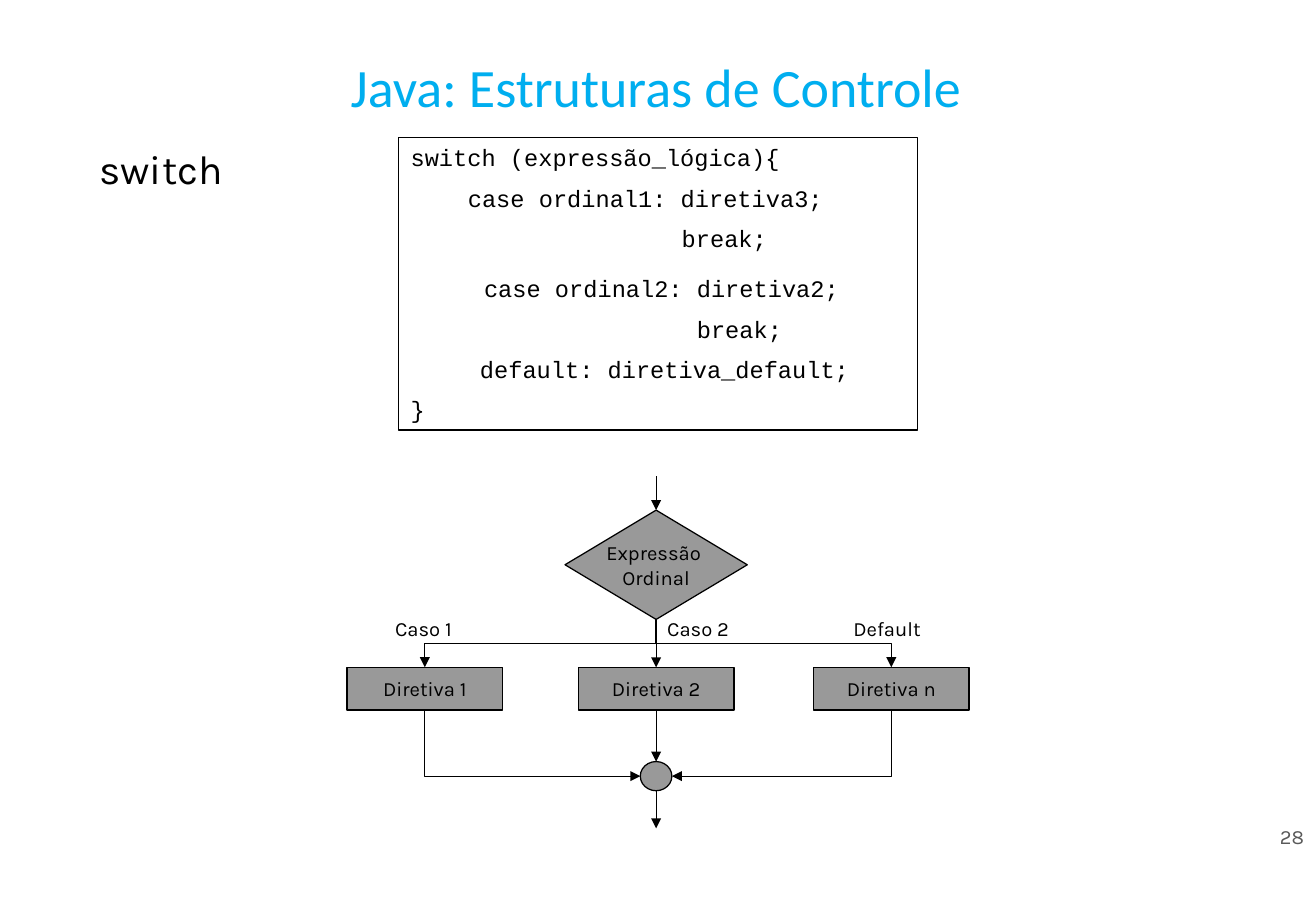
"""Build the slide on the Java switch structure, with its code and flow chart."""
import pptx
import pptx.dml.color
import pptx.enum.shapes
import pptx.enum.text
import pptx.oxml
import pptx.oxml.ns
import pptx.util

Kind = pptx.enum.shapes.MSO_SHAPE
Wire = pptx.enum.shapes.MSO_CONNECTOR
Align = pptx.enum.text.PP_ALIGN
Anchor = pptx.enum.text.MSO_ANCHOR
Color = pptx.dml.color.RGBColor.from_string
Pt = pptx.util.Pt

theme = {
    "ink": Color("000000"),
    "fill": Color("999999"),
    "line": Pt(0.75),
    "title": {"name": "Calibri", "size": Pt(32), "color": Color("00AEEF")},
    "head": {"name": "Karla", "size": Pt(24), "color": Color("000000")},
    "code": {"name": "Courier New", "size": Pt(14), "color": Color("000000")},
    "node": {"name": "Karla", "size": Pt(12), "color": Color("000000")},
    "page": {"name": "Karla", "size": Pt(12), "color": Color("595959")},
}

deck = pptx.Presentation()
deck.slide_width = pptx.util.Inches(10.83)
deck.slide_height = pptx.util.Inches(7.5)
slide = deck.slides.add_slide(deck.slide_layouts[6])
shapes = slide.shapes
col = deck.slide_width / 100
row = deck.slide_height / 100


def write(shape, lines, style, align, anchor, wrap):
    """Fill a shape with (text, indent in columns, space before) lines."""
    frame = shape.text_frame
    side = Pt(7.2 if wrap else 0)
    layout = {"word_wrap": wrap, "vertical_anchor": anchor,
              "margin_left": side, "margin_right": side}
    for name, value in layout.items():
        setattr(frame, name, value)
    for index, (text, indent, before) in enumerate(lines):
        para = frame.add_paragraph() if index else frame.paragraphs[0]
        para.alignment = align
        para.space_before = Pt(before)
        if indent:
            para._p.get_or_add_pPr().set("marL", str(round(indent * col)))
        run = para.add_run()
        run.text = text
        for name, value in theme[style].items():
            if name == "color":
                run.font.color.rgb = value
            else:
                setattr(run.font, name, value)


def link(start, end, bend=None):
    """Draw an arrow; a bent one leaves downwards, so its box is turned."""
    x1, y1, x2, y2 = start[0] * col, start[1] * row, end[0] * col, end[1] * row
    turn = 1 if x2 < x1 else -1
    if bend:
        midx, midy = (x1 + x2) / 2, (y1 + y2) / 2
        across, down = turn * (x1 - midx), turn * (y1 - midy)
        x1, y1, x2, y2 = midx + down, midy - across, midx - down, midy + across
    wire = shapes.add_connector(
        Wire.ELBOW if bend else Wire.STRAIGHT, *map(round, (x1, y1, x2, y2)))
    wire.line.width = theme["line"]
    wire.line.color.rgb = theme["ink"]
    props = wire._element.spPr
    space = pptx.oxml.ns.nsdecls("a")
    wire.line._get_or_add_ln().append(
        pptx.oxml.parse_xml(f'<a:tailEnd {space} type="triangle"/>'))
    props.append(pptx.oxml.parse_xml(f"<a:effectLst {space}/>"))
    if bend:
        props.xfrm.set("rot", str(turn * 90 * 60000 % 21600000))
        props.prstGeom.set("prst", bend)
    return wire


mid = 49.86
lanes = {"Diretiva 1": 32.28, "Diretiva 2": mid, "Diretiva n": 67.73}
boxtop, boxtall, boxwide = 73.25, 4.7, 11.82
choice, choicetall = 56, 12
joint, jointwide, jointtall = 83.6, 2.4, 3.2

code = [
    ("switch (expressão_lógica){", 0, 7),
    ("case ordinal1: diretiva3;", 4.35, 7),
    ("break;", 20.6, 7),
    ("case ordinal2: diretiva2;", 5.58, 13),
    ("break;", 21.75, 7.5),
    ("default: diretiva_default;", 5.27, 7),
    ("}", 0, 7),
]

texts = [
    ("28", "page", (90.03, 89.8, 9.97, 4), Align.RIGHT, Anchor.MIDDLE, True),
    ("Java: Estruturas de Controle", "title", (4.06, 3.73, 91.6, 11.33),
     Align.CENTER, Anchor.MIDDLE, True),
    ("switch", "head", (6.65, 15.2, 82.73, 6.67), Align.LEFT, Anchor.TOP, True),
]
for text, left, wide in [("Caso 1", 28.99, 6.37), ("Caso 2", mid, 6.37),
                         ("Default", 64.08, 6.65)]:
    texts.append((text, "node", (left, 67, wide, 4),
                  Align.CENTER, Anchor.TOP, False))
for text, style, (left, top, wide, tall), align, anchor, wrap in texts:
    label = shapes.add_textbox(*map(round, (left * col, top * row,
                                            wide * col, tall * row)))
    write(label, [(text, 0, 0)], style, align, anchor, wrap)

nodes = [
    ("code", Kind.RECTANGLE, 50.01, 15.07, 39.43, 32.13, code),
    ("choice", Kind.FLOWCHART_DECISION, mid, choice, 13.85, choicetall,
     [("Expressão ", 0, 0), ("Ordinal", 0, 0)]),
    ("joint", Kind.FLOWCHART_CONNECTOR, mid, joint, jointwide, jointtall, []),
]
for text, lane in lanes.items():
    nodes.append((text, Kind.FLOWCHART_PROCESS, lane, boxtop, boxwide, boxtall,
                  [(text, 0, 0)]))

made = {}
for name, kind, center, top, wide, tall, lines in nodes:
    node = shapes.add_shape(kind, *map(round, (
        (center - wide / 2) * col, top * row, wide * col, tall * row)))
    node.shadow.inherit = False
    node.line.width = theme["line"]
    node.line.color.rgb = theme["ink"]
    if name == "code":
        node.fill.background()
        write(node, lines, "code", Align.LEFT, Anchor.TOP, True)
    else:
        node.fill.solid()
        node.fill.fore_color.rgb = theme["fill"]
        write(node, lines, "node", Align.CENTER, Anchor.MIDDLE, False)
    made[name] = node

fork = (mid, choice + choicetall)
base = boxtop + boxtall
link((mid, 52.27), (mid, choice)).end_connect(made["choice"], 0)
link((mid, joint + jointtall), (mid, 90.93))
for name, lane in lanes.items():
    if lane == mid:
        for tail, tip in [("choice", name), (name, "joint")]:
            wire = link(fork, (mid, boxtop))
            wire.begin_connect(made[tail], 2)
            wire.end_connect(made[tip], 0)
    else:
        side = jointwide / 2 if lane > mid else -jointwide / 2
        link(fork, (lane, boxtop), "bentConnector3")
        link((lane, base), (mid + side, joint + jointtall / 2), "bentConnector2")

deck.save("out.pptx")
